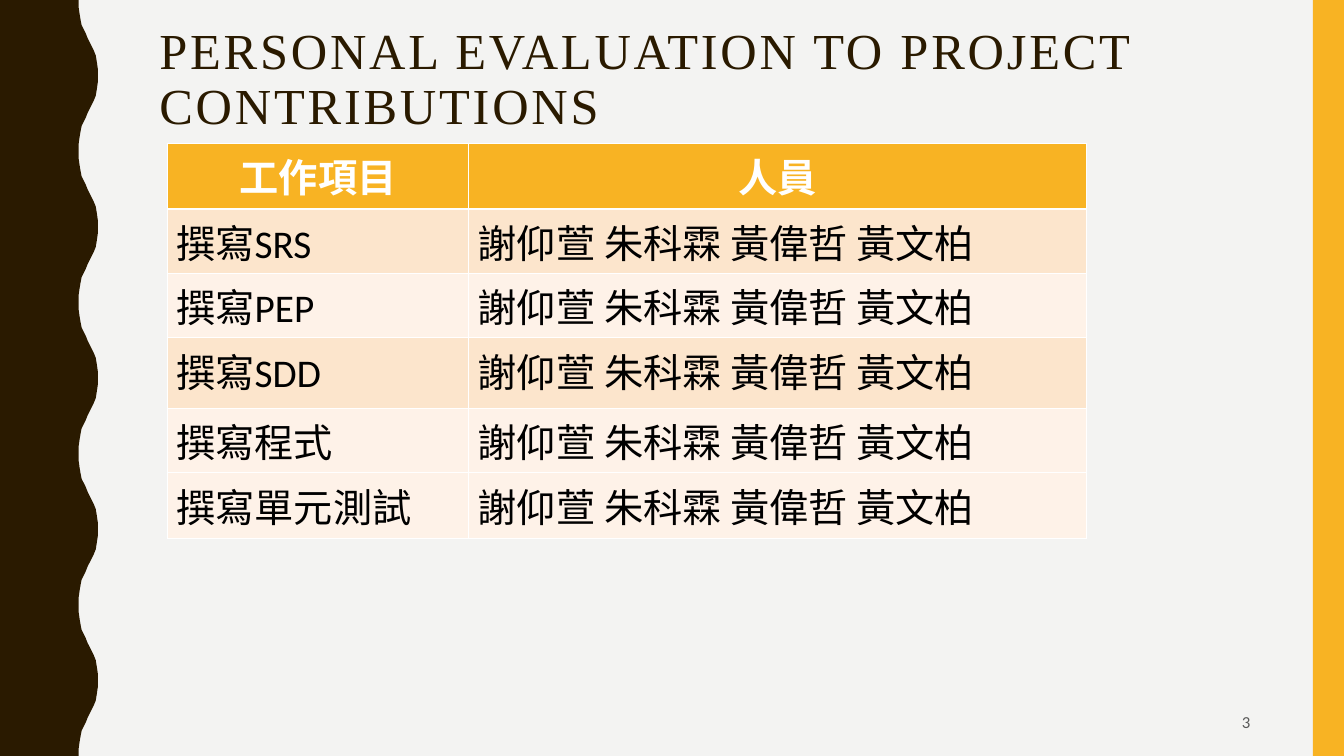
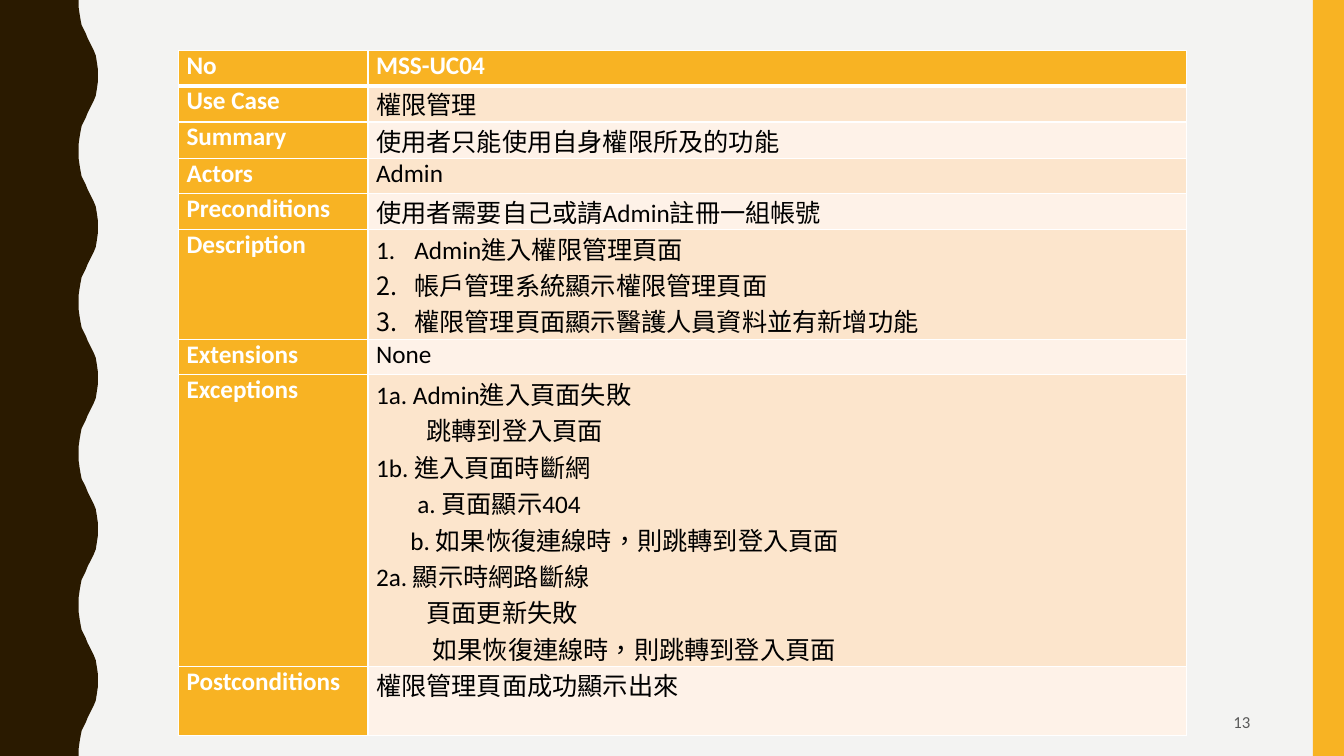
from pptx import Presentation
from pptx.dml.color import RGBColor
from pptx.enum.shapes import MSO_SHAPE
from pptx.enum.text import MSO_ANCHOR, MSO_AUTO_SIZE, PP_ALIGN
from pptx.oxml import parse_xml
from pptx.oxml.ns import nsdecls
from pptx.util import Inches, Pt

HUES = {
    "dark": "2A1A00", "gold": "F8B323", "page": "F3F3F2", "grey": "595959",
    "white": "FFFFFF", "black": "000000", "peach": "FCE5CC", "cream": "FEF2E8",
}
TINT = {name: RGBColor.from_string(code) for name, code in HUES.items()}


def add_run(para, text, size, hue, bold=False, face="Calibri"):
    """Add one styled run to a paragraph and return it."""
    run = para.add_run()
    run.text = text
    run.font.size = Pt(size)
    run.font.name = face
    run.font.bold = bold
    run.font.color.rgb = TINT[hue]
    run._r.get_or_add_rPr().set("lang", "en-US" if text.isascii() else "zh-TW")
    return run


def add_grid(slide, spot, widths, heights, rows, fills, size, pad, line, rule):
    """Add a table; a cell is a text or a list of (text, indent, numbered)."""
    left, top = spot
    frame = slide.shapes.add_table(
        len(rows), len(widths), Inches(left), Inches(top),
        Inches(sum(widths)), Inches(sum(heights)))
    table = frame.table
    for col, width in zip(table.columns, widths):
        col.width = Inches(width)
    for r, (texts, height) in enumerate(zip(rows, heights)):
        table.rows[r].height = Inches(height)
        for c, text in enumerate(texts):
            cell = table.cell(r, c)
            cell.margin_left = cell.margin_right = Inches(pad[0])
            cell.margin_top = cell.margin_bottom = Inches(pad[1])
            for side in "LRTB":
                thick = (r, side) in ((0, "B"), (1, "T"))
                width = Pt(rule if thick else line)
                cell._tc.get_or_add_tcPr().append(parse_xml(
                    f'<a:ln{side} {nsdecls("a")} w="{width}"><a:solidFill>'
                    f'<a:srgbClr val="{HUES["white"]}"/></a:solidFill></a:ln{side}>'))
            hue = fills[r][c]
            cell.fill.solid()
            cell.fill.fore_color.rgb = TINT[hue]
            head = hue == "gold"
            items = [(text, 0, False)] if isinstance(text, str) else text
            for i, (words, dent, count) in enumerate(items):
                body = cell.text_frame
                para = body.add_paragraph() if i else body.paragraphs[0]
                add_run(para, words, size, "white" if head else "black", head)
                props = para._p.get_or_add_pPr()
                if dent:
                    props.set("marL", str(Inches(dent)))
                if count:
                    props.set("indent", str(-Inches(dent)))
                    props.append(parse_xml(
                        f'<a:buAutoNum {nsdecls("a")} type="arabicPeriod"/>'))
    return table


deck = Presentation()
deck.slide_width, deck.slide_height = Inches(13.33), Inches(7.5)
work = deck.slides.add_slide(deck.slide_layouts[5])
case = deck.slides.add_slide(deck.slide_layouts[6])

# Master: page colour, wavy left band, right bar
master = deck.slide_master
master.background.fill.solid()
master.background.fill.fore_color.rgb = TINT["page"]

half = [(0.78, 0), (0.78, 0.07), (0.79, 0.14), (0.8, 0.2), (0.81, 0.25),
        (0.83, 0.29), (0.85, 0.33), (0.87, 0.38), (0.89, 0.42), (0.91, 0.46),
        (0.93, 0.5), (0.95, 0.55), (0.96, 0.61), (0.97, 0.68), (0.97, 0.75)]
wave = half + [(x, 1.5 - y) for x, y in half[-2::-1]]
edge = [(Inches(x), Inches(y + 1.5 * n)) for n in range(5) for x, y in wave]
pen = work.shapes.build_freeform(0, 0)
pen.add_line_segments(edge + [(0, Inches(7.5))], close=True)
band = pen.convert_to_shape()
bar = work.shapes.add_shape(
    MSO_SHAPE.RECTANGLE, Inches(13.02), 0, Inches(0.31), Inches(7.5))
for spot, (shape, hue) in enumerate([(band, "dark"), (bar, "gold")], 2):
    shape.shadow.inherit = False
    shape.fill.solid()
    shape.fill.fore_color.rgb = TINT[hue]
    shape.line.fill.background()
    master.shapes.element.insert(spot, shape._element)

# Page numbers
for slide, page in [(work, "3"), (case, "13")]:
    box = slide.shapes.add_textbox(
        Inches(9.42), Inches(6.97), Inches(3.08), Inches(0.38))
    box.text_frame.word_wrap = True
    box.text_frame.vertical_anchor = MSO_ANCHOR.MIDDLE
    para = box.text_frame.paragraphs[0]
    para.alignment = PP_ALIGN.RIGHT
    add_run(para, page, 12, "grey")

# Work shares
title = work.shapes.title
title.left, title.top = Inches(1.48), Inches(0.21)
title.width, title.height = Inches(11.02), Inches(1.63)
title.text_frame.auto_size = MSO_AUTO_SIZE.NONE
title.text_frame.vertical_anchor = MSO_ANCHOR.TOP
para = title.text_frame.paragraphs[0]
para.alignment = PP_ALIGN.LEFT
para.line_spacing = 0.9
run = add_run(para, "PERSONAL EVALUATION TO PROJECT CONTRIBUTIONS",
              36, "dark", face="Times New Roman")
run._r.get_or_add_rPr().set("spc", "200")

team = "謝仰萱 朱科霖 黃偉哲 黃文柏"
tasks = ["撰寫SRS", "撰寫PEP", "撰寫SDD", "撰寫程式", "撰寫單元測試"]
hues = ["gold", "peach", "cream", "peach", "cream", "cream"]
table = add_grid(
    work, (1.66, 1.42), [2.99, 6.13], [0.65, 0.64, 0.64, 0.7, 0.64, 0.65],
    [("工作項目", "人員")] + [(task, team) for task in tasks],
    [(hue, hue) for hue in hues], 28, (0.09, 0.04), 0.75, 1.64)
for cell in table.rows[0].cells:
    cell.text_frame.paragraphs[0].alignment = PP_ALIGN.CENTER

# Use case
steps = ["Admin進入權限管理頁面", "帳戶管理系統顯示權限管理頁面",
         "權限管理頁面顯示醫護人員資料並有新增功能"]
faults = [
    ("1a. Admin進入頁面失敗", 0, False),
    ("跳轉到登入頁面", 0.5, False),
    ("1b. 進入頁面時斷網", 0, False),
    ("a. 頁面顯示404", 0.41, False),
    ("b. 如果恢復連線時，則跳轉到登入頁面", 0.34, False),
    ("2a. 顯示時網路斷線", 0, False),
    ("頁面更新失敗", 0.5, False),
    ("如果恢復連線時，則跳轉到登入頁面", 0.56, False),
]
facts = [
    ("No", "MSS-UC04"),
    ("Use Case", "權限管理"),
    ("Summary", "使用者只能使用自身權限所及的功能"),
    ("Actors", "Admin"),
    ("Preconditions", "使用者需要自己或請Admin註冊一組帳號"),
    ("Description", [(step, 0.38, True) for step in steps]),
    ("Extensions", "None"),
    ("Exceptions", faults),
    ("Postconditions", "權限管理頁面成功顯示出來"),
]
add_grid(
    case, (1.77, 0.5), [1.88, 8.12],
    [0.35, 0.36, 0.36, 0.35, 0.36, 1.09, 0.35, 2.89, 0.69], facts,
    [("gold", "gold")] + [("gold", hue) for hue in ["peach", "cream"] * 4],
    18, (0.08, 0), 1, 3)

deck.save("out.pptx")
